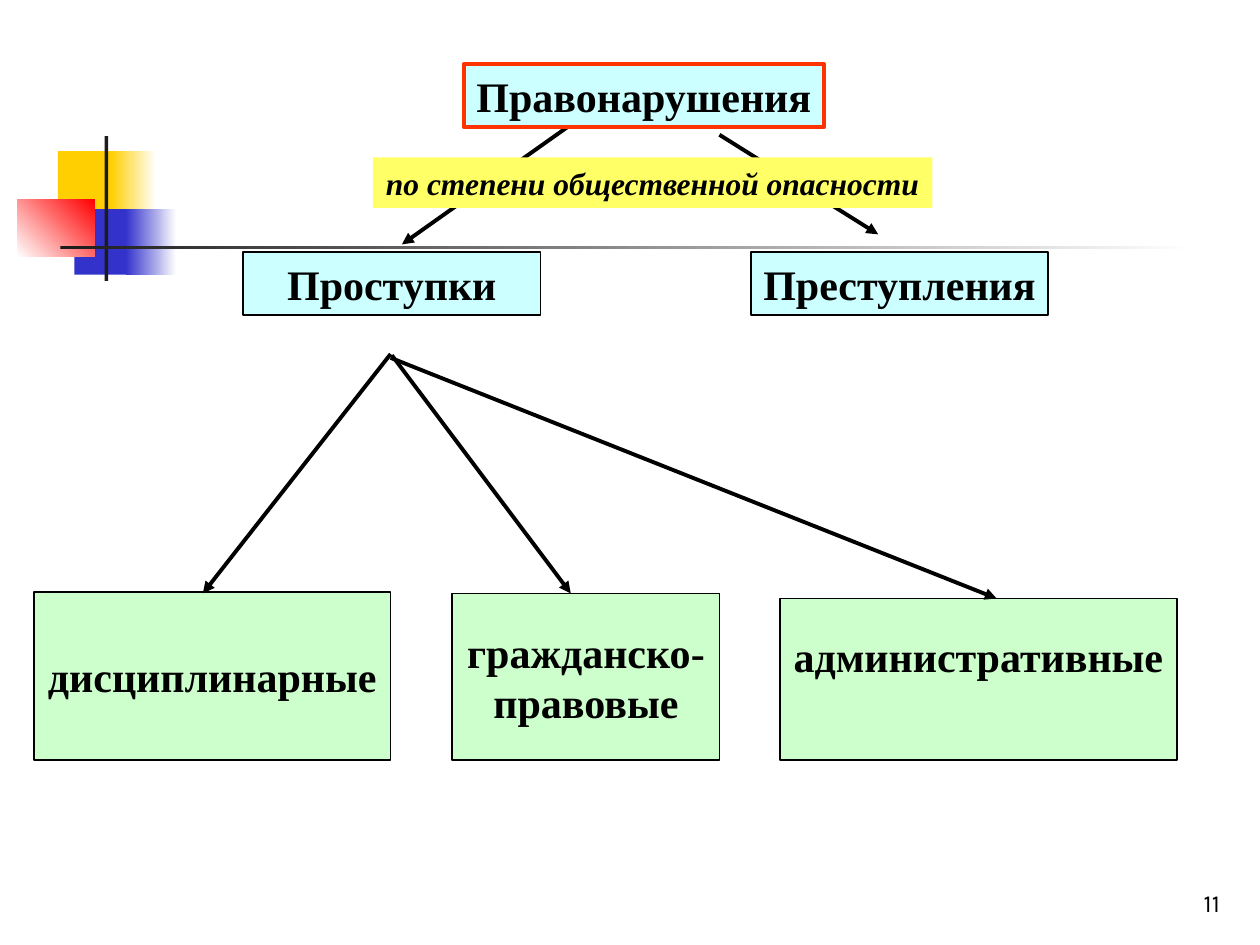
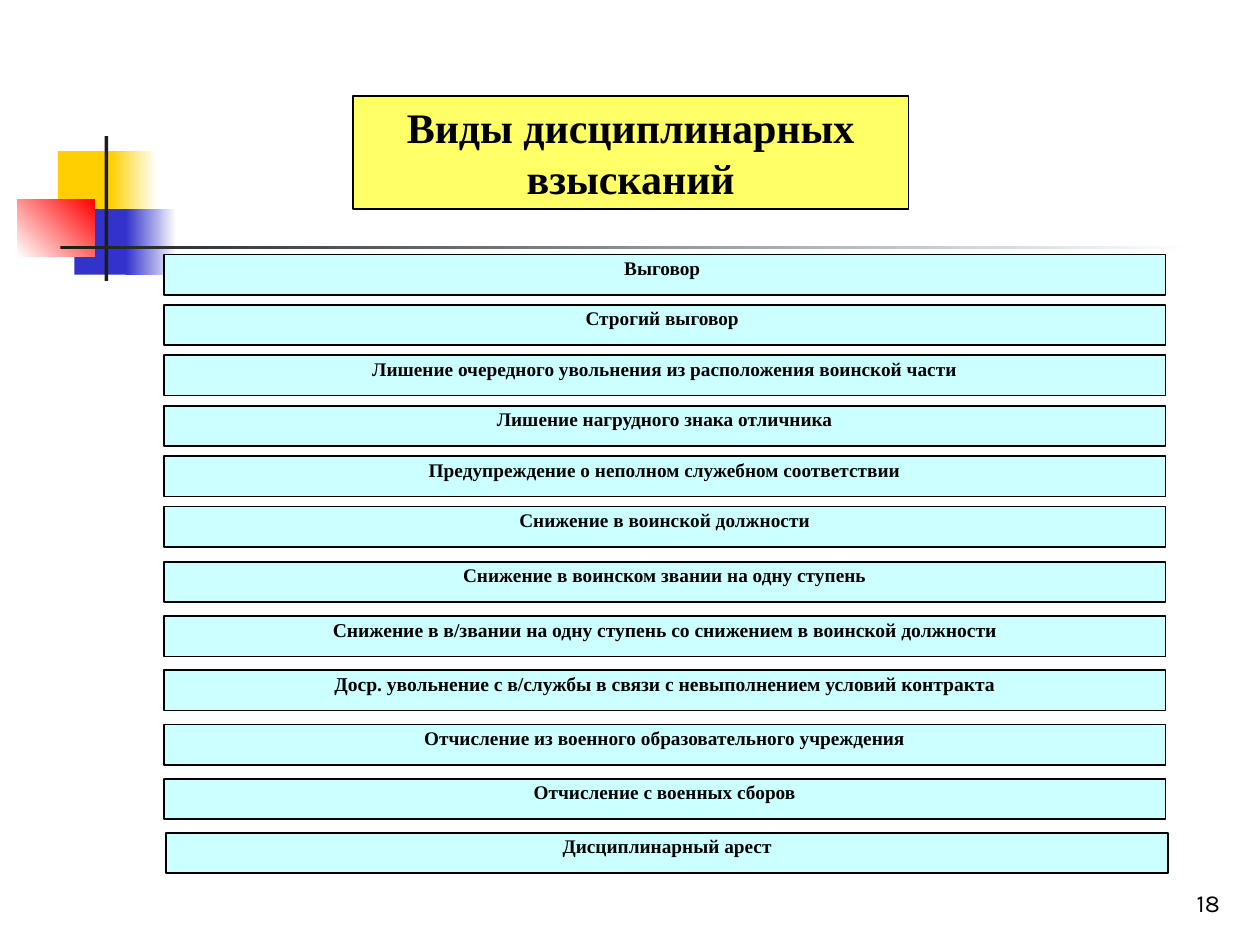
import lxml.etree
import pptx
import pptx.dml.color
import pptx.enum.shapes
import pptx.enum.text
import pptx.oxml.ns
import pptx.util

Inches = pptx.util.Inches
ALIGN = pptx.enum.text.PP_ALIGN
ANCHOR = pptx.enum.text.MSO_ANCHOR
RECTANGLE = pptx.enum.shapes.MSO_SHAPE.RECTANGLE
STRAIGHT = pptx.enum.shapes.MSO_CONNECTOR.STRAIGHT

BLACK, WHITE, INK = "000000", "FFFFFF", "1C1C1C"
GOLD, BLUE, RED = "FFCF01", "3333CC", "FF0000"
AQUA, MINT, YELLOW, ORANGE = "CCFFFF", "CCFFCC", "FFFF66", "FF3300"


def rgb(value):
    return pptx.dml.color.RGBColor.from_string(value)


def add_child(parent, tag, **attributes):
    return lxml.etree.SubElement(parent, pptx.oxml.ns.qn(tag), **attributes)


class Deck:
    """Holds the shared style and the slide being built."""

    heading = {"name": "Times New Roman", "size": pptx.util.Pt(24), "bold": True}
    number = {"name": "Karla", "size": pptx.util.Pt(14)}

    # Place, start colour, end colour (None for a plain fill), gradient angle
    emblem = [
        ((0.46, 1.2, 0.48, 0.52), GOLD, None, 0),
        ((0.88, 1.2, 0.36, 0.52), GOLD, WHITE, 0),
        ((0.59, 1.66, 0.46, 0.52), BLUE, None, 0),
        ((1, 1.66, 0.4, 0.52), BLUE, WHITE, 0),
        ((0.14, 1.58, 0.61, 0.46), WHITE, RED, 45),
        ((0.83, 1.08, 0.03, 1.15), INK, None, 0),
        ((0.48, 1.95, 9, 0.03), INK, WHITE, 0),
    ]

    def __init__(self):
        self.presentation = pptx.Presentation()
        self.presentation.slide_width = Inches(10)
        self.presentation.slide_height = Inches(7.5)
        self.slide = None

    def new_slide(self, number):
        blank = self.presentation.slide_layouts[6]
        self.slide = self.presentation.slides.add_slide(blank)
        for place, start, end, angle in self.emblem:
            self.block(place, start, end, angle)
        label = self.slide.shapes.add_textbox(*map(Inches, (7.7, 6.83, 2.08, 0.5)))
        self.set_text(label, number, self.number, align=ALIGN.RIGHT, anchor=ANCHOR.BOTTOM)

    def block(self, place, fill, fade=None, angle=0, border=None, weight=1):
        block = self.slide.shapes.add_shape(RECTANGLE, *map(Inches, place))
        block.shadow.inherit = False
        if fade:
            block.fill.gradient()
            block.fill.gradient_angle = angle
            for stop, color in zip(block.fill.gradient_stops, (fill, fade)):
                stop.color.rgb = rgb(color)
        else:
            block.fill.solid()
            block.fill.fore_color.rgb = rgb(fill)
        if border:
            block.line.color.rgb = rgb(border)
            block.line.width = pptx.util.Pt(weight)
        else:
            block.line.fill.background()
        return block

    def set_text(self, holder, text, style, align=ALIGN.CENTER, anchor=ANCHOR.TOP,
                 wrap=True, spacing=None, bottom=0.05):
        frame = holder.text_frame
        layout = {"word_wrap": wrap, "vertical_anchor": anchor,
                  "margin_left": Inches(0.1), "margin_right": Inches(0.1),
                  "margin_top": Inches(0.05), "margin_bottom": Inches(bottom)}
        for name, value in layout.items():
            setattr(frame, name, value)
        paragraph = frame.paragraphs[0]
        paragraph.alignment = align
        if spacing:
            paragraph.line_spacing = spacing
        run = paragraph.add_run()
        run.text = text
        for name, value in style.items():
            setattr(run.font, name, value)
        run.font.color.rgb = rgb(BLACK)

    def box(self, place, text, fill, border=BLACK, weight=1, changes=None, **layout):
        holder = self.block(place, fill, border=border, weight=weight)
        self.set_text(holder, text, {**self.heading, **(changes or {})}, **layout)

    def arrow(self, start, end):
        arrow = self.slide.shapes.add_connector(STRAIGHT, *map(Inches, start + end))
        arrow.line.color.rgb = rgb(BLACK)
        arrow.line.width = pptx.util.Pt(2.25)
        properties = arrow._element.spPr
        add_child(properties.find(pptx.oxml.ns.qn("a:ln")), "a:tailEnd", type="triangle")
        add_child(properties, "a:effectLst")


def build_offences(deck):
    deck.new_slide("11")

    # Division by degree of danger
    deck.arrow((5.71, 1.07), (6.97, 1.86))
    deck.arrow((4.53, 0.99), (3.19, 1.94))
    deck.box((2.96, 1.25, 4.44, 0.4), "по степени общественной опасности", YELLOW,
             border=None, changes={"size": pptx.util.Pt(18), "italic": True}, wrap=False)
    deck.box((3.68, 0.51, 2.86, 0.5), "Правонарушения", AQUA,
             border=ORANGE, weight=2.25, wrap=False)
    for left, offence in ((1.93, "Проступки"), (5.96, "Преступления")):
        deck.box((left, 2, 2.36, 0.5), offence, AQUA, wrap=False)

    # Kinds of misdemeanour
    deck.box((0.27, 4.7, 2.83, 1.33), "дисциплинарные", MINT,
             anchor=ANCHOR.MIDDLE, wrap=False)
    deck.box((3.59, 4.71, 2.12, 1.32), "гражданско-правовые", MINT, anchor=ANCHOR.MIDDLE)
    deck.box((6.19, 4.75, 3.15, 1.28), "административные", MINT,
             anchor=ANCHOR.MIDDLE, wrap=False, bottom=0.42)
    deck.arrow((3.1, 2.81), (1.61, 4.71))
    deck.arrow((3.11, 2.82), (4.53, 4.71))
    deck.arrow((3.1, 2.84), (7.91, 4.75))


def build_penalties(deck):
    deck.new_slide("18")
    deck.box((2.8, 0.76, 4.41, 0.9), "Виды дисциплинарных взысканий", YELLOW)

    # Penalties from the mildest to the most severe, in two evenly spaced runs
    penalties = [
        "Выговор ",
        "Строгий выговор ",
        "Лишение очередного увольнения из расположения воинской части",
        "Лишение нагрудного знака отличника",
        "Предупреждение о неполном служебном соответствии",
        "Снижение в воинской должности",
        "Снижение в воинском звании на одну ступень",
        "Снижение в в/звании на одну ступень со снижением в воинской должности",
        "Доср. увольнение с в/службы в связи с невыполнением условий контракта",
        "Отчисление из военного образовательного учреждения",
        "Отчисление с военных сборов",
        "Дисциплинарный арест",
    ]
    tops = [2.02 + 0.4 * row for row in range(6)] + [4.46 + 0.43 * row for row in range(6)]
    for top, penalty in zip(tops, penalties):
        left = 1.32 if penalty == penalties[-1] else 1.3
        size = 11.2 if len(penalty) > 65 else 11
        deck.box((left, top, 7.95, 0.32), penalty, AQUA,
                 changes={"size": pptx.util.Pt(size)}, spacing=0.8)


def main():
    deck = Deck()
    build_offences(deck)
    build_penalties(deck)
    deck.presentation.save("out.pptx")


if __name__ == "__main__":
    main()
